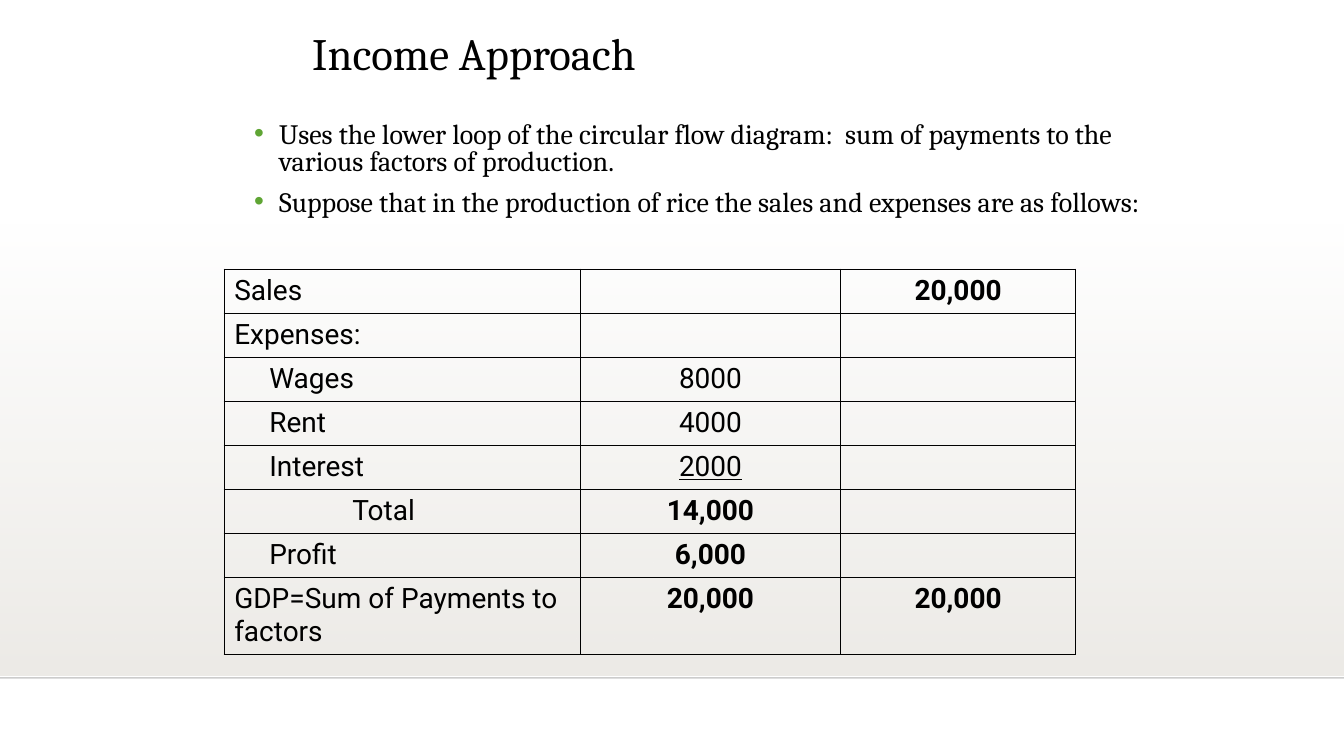
from dataclasses import dataclass
from typing import Any

from lxml.etree import SubElement
from pptx import Presentation
from pptx.dml.color import RGBColor
from pptx.enum.shapes import MSO_CONNECTOR, MSO_SHAPE
from pptx.enum.text import MSO_ANCHOR, PP_ALIGN
from pptx.oxml.ns import qn
from pptx.util import Pt

PX = 9080
SLIDE_WIDTH, SLIDE_HEIGHT = 1343, 755
THIN, THICK = 0.45, 1.08
BLACK, GREEN, SAND = "000000", "5FA534", "EDEBE7"
TITLE_FONT = {"name": "Cambria", "size": Pt(32)}
BODY_FONT = {"name": "Cambria", "size": Pt(20)}
TABLE_FONT = {"name": "Roboto", "size": Pt(20)}


@dataclass(frozen=True)
class Box:
    left: int
    top: int
    width: int
    height: int

    def emu(self) -> list[int]:
        return [px(self.left), px(self.top), px(self.width), px(self.height)]


@dataclass(frozen=True)
class Entry:
    label: str
    amount: str = ""
    total: str = ""
    indent: int = 0
    bold: bool = False
    underline: bool = False
    thick_divider: bool = False
    height: int = 44


TITLE_BOX = Box(302, 0, 731, 85)
BODY_BOX = Box(244, 118, 906, 134)
SHADE_BOX = Box(0, 222, SLIDE_WIDTH, 453)
COLUMN_WIDTHS = [356, 260, 235]
POINTS = [
    "Uses the lower loop of the circular flow diagram:  sum of payments to the various factors of production.",
    "Suppose that in the production of rice the sales and expenses are as follows:",
]
ENTRIES = [
    Entry("Sales", total="20,000"),
    Entry("Expenses:"),
    Entry("Wages", "8000", indent=35, thick_divider=True),
    Entry("Rent", "4000", indent=35),
    Entry("Interest", "2000", indent=35, underline=True, thick_divider=True),
    Entry("Total", "14,000", indent=118, bold=True),
    Entry("Profit", "6,000", indent=35, bold=True),
    Entry("GDP=Sum of Payments to factors", "20,000", "20,000", bold=True, height=77),
]
LEDGER_BOX = Box(224, 269, sum(COLUMN_WIDTHS), sum(entry.height for entry in ENTRIES))


def px(length: int) -> int:
    return length * PX


def color(value: str) -> RGBColor:
    return RGBColor.from_string(value)


def apply(target: Any, values: dict[str, Any]) -> None:
    for attribute, value in values.items():
        setattr(target, attribute, value)


def style_font(font: Any, values: dict[str, Any]) -> None:
    apply(font, values)
    font.color.rgb = color(BLACK)


def set_alpha(parent: Any, percent: int) -> None:
    SubElement(next(parent.iter(qn("a:srgbClr"))), qn("a:alpha"), val=str(percent * 1000))


def draw_backdrop(slide: Any) -> None:
    shade = slide.shapes.add_shape(MSO_SHAPE.RECTANGLE, *SHADE_BOX.emu())
    shade.shadow.inherit = False
    shade.line.fill.background()
    shade.fill.gradient()
    shade.fill.gradient_angle = 270
    for stop in shade.fill.gradient_stops:
        stop.color.rgb = color(SAND)
    set_alpha(shade.element.spPr, 0)

    horizon = slide.shapes.add_connector(
        MSO_CONNECTOR.STRAIGHT, 0, px(677), px(SLIDE_WIDTH), px(677)
    )
    horizon.line.color.rgb = color("000001")
    horizon.line.width = Pt(1)
    outline = horizon.element.spPr
    set_alpha(outline, 20)
    SubElement(outline, qn("a:effectLst"))


def add_frame(slide: Any, box: Box, anchor: MSO_ANCHOR) -> Any:
    frame = slide.shapes.add_textbox(*box.emu()).text_frame
    apply(frame, {"word_wrap": True, "vertical_anchor": anchor})
    return frame


def draw_title(slide: Any) -> None:
    heading = add_frame(slide, TITLE_BOX, MSO_ANCHOR.BOTTOM).paragraphs[0]
    apply(heading, {"text": "Income Approach", "line_spacing": 0.9})
    style_font(heading.font, TITLE_FONT)


def draw_points(slide: Any) -> None:
    frame = add_frame(slide, BODY_BOX, MSO_ANCHOR.TOP)
    for index, sentence in enumerate(POINTS):
        point = frame.add_paragraph() if index else frame.paragraphs[0]
        apply(point, {"text": sentence, "line_spacing": 0.8})
        if index:
            point.space_before = Pt(10)
        properties = point._p.get_or_add_pPr()
        properties.set("marL", str(px(25)))
        properties.set("indent", str(px(-25)))
        SubElement(SubElement(properties, qn("a:buClr")), qn("a:srgbClr"), val=GREEN)
        SubElement(properties, qn("a:buFont"), typeface="Arial")
        SubElement(properties, qn("a:buChar"), char="•")
        style_font(point.font, BODY_FONT)


def set_borders(cell: Any, widths: dict[str, float]) -> None:
    properties = cell._tc.get_or_add_tcPr()
    for side, width in widths.items():
        border = SubElement(properties, qn(f"a:ln{side}"), w=str(Pt(width)))
        SubElement(SubElement(border, qn("a:solidFill")), qn("a:srgbClr"), val=BLACK)


def fill_cell(cell: Any, text: str, indent: int, values: dict[str, Any]) -> None:
    paragraph = cell.text_frame.paragraphs[0]
    paragraph.text = text
    if indent:
        paragraph._p.get_or_add_pPr().set("marL", str(px(indent)))
    apply(paragraph, {"alignment": values["alignment"]})
    font_values = {"bold": values["bold"], "underline": values["underline"]}
    style_font(paragraph.font, TABLE_FONT | font_values)
    for run in paragraph.runs:
        style_font(run.font, TABLE_FONT | font_values)


def draw_ledger(slide: Any) -> None:
    ledger = slide.shapes.add_table(
        len(ENTRIES), len(COLUMN_WIDTHS), *LEDGER_BOX.emu()
    ).table
    apply(ledger, {"first_row": False, "horz_banding": False})
    for column, width in zip(ledger.columns, COLUMN_WIDTHS):
        column.width = px(width)
    last_row, last_column = len(ENTRIES) - 1, len(COLUMN_WIDTHS) - 1
    for row, entry in enumerate(ENTRIES):
        ledger.rows[row].height = px(entry.height)
        for column, text in enumerate((entry.label, entry.amount, entry.total)):
            cell = ledger.cell(row, column)
            left_thick = column == 0 or (column == 2 and entry.thick_divider)
            right_thick = column == last_column or (column == 1 and entry.thick_divider)
            thick = {"L": left_thick, "R": right_thick, "T": row == 0, "B": row == last_row}
            set_borders(cell, {side: THICK if on else THIN for side, on in thick.items()})
            cell.fill.background()
            fill_cell(cell, text, 0 if column else entry.indent, {
                "alignment": PP_ALIGN.CENTER if column else PP_ALIGN.LEFT,
                "bold": column == 2 or (column == 1 and entry.bold),
                "underline": column == 1 and entry.underline,
            })


def main() -> None:
    deck = Presentation()
    apply(deck, {"slide_width": px(SLIDE_WIDTH), "slide_height": px(SLIDE_HEIGHT)})
    slide = deck.slides.add_slide(deck.slide_layouts[6])
    for draw in (draw_backdrop, draw_ledger, draw_title, draw_points):
        draw(slide)
    deck.save("out.pptx")


if __name__ == "__main__":
    main()
